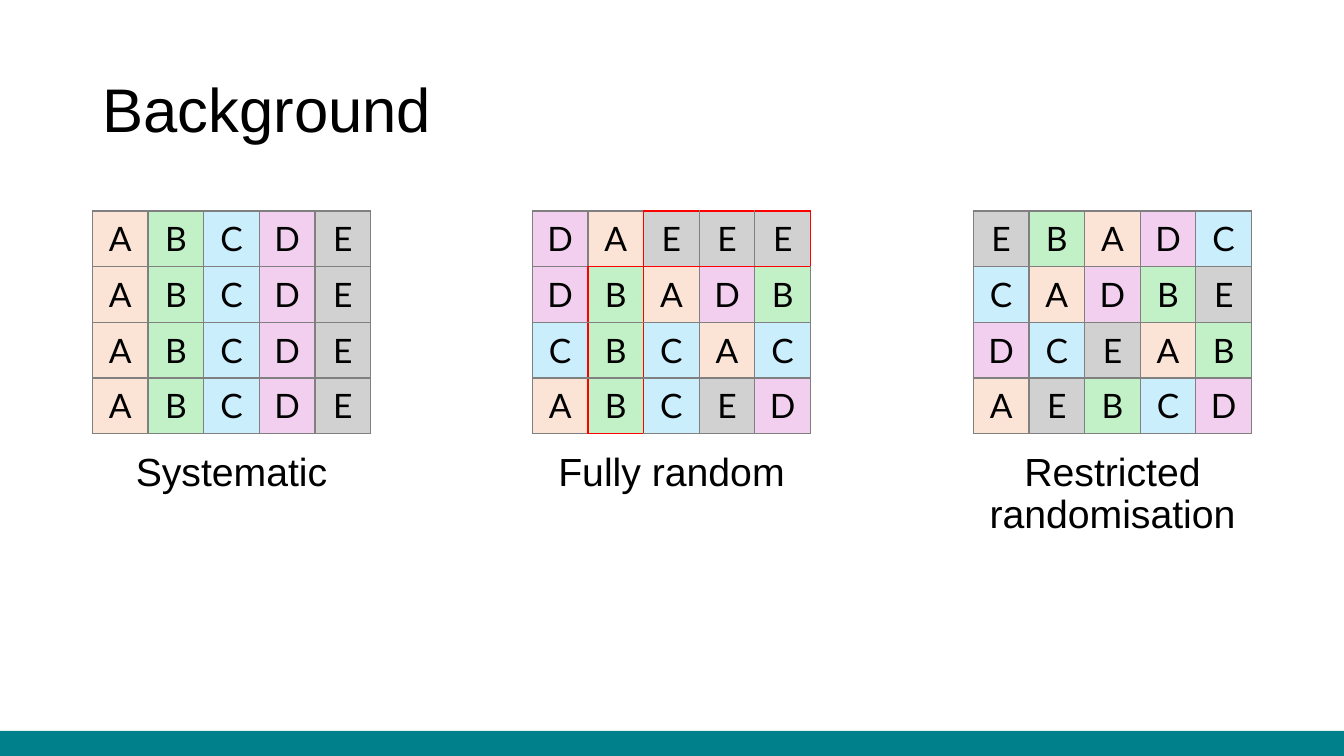
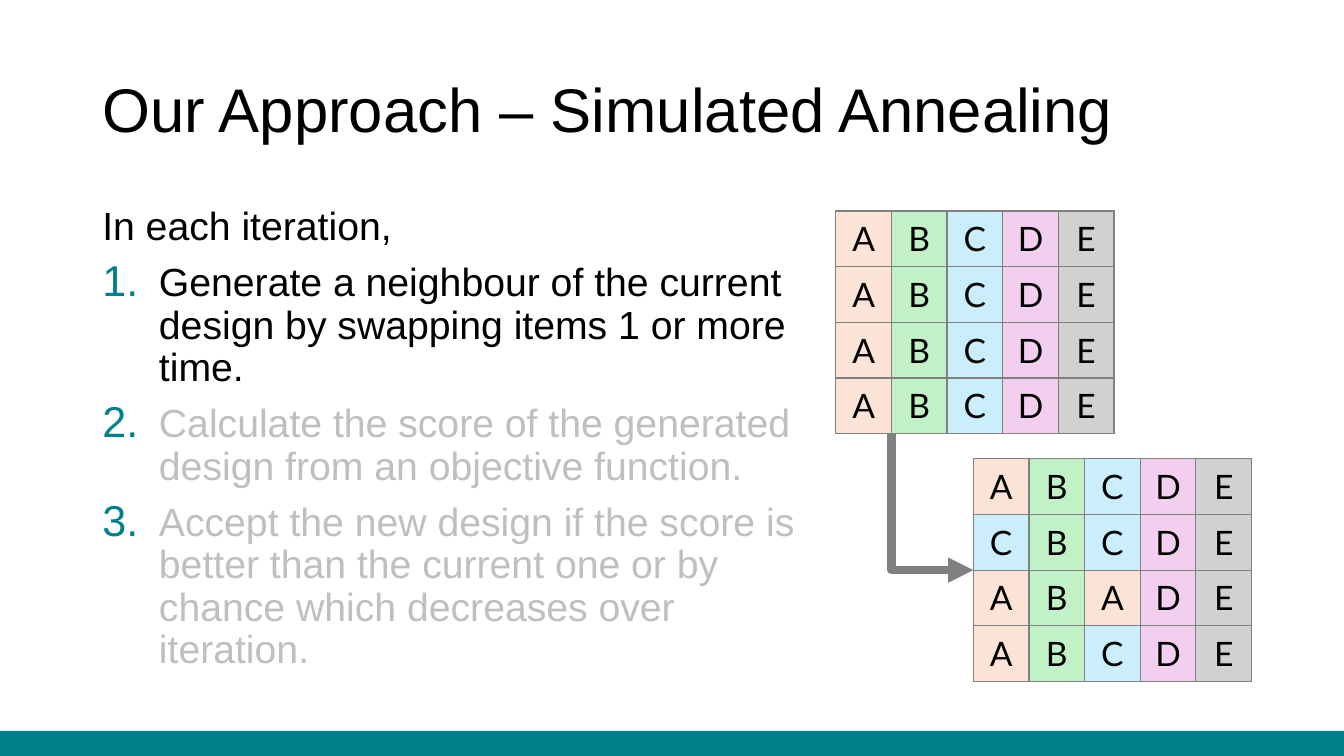
import dataclasses

import pptx
import pptx.dml.color
import pptx.enum.dml
import pptx.enum.shapes
import pptx.enum.text
import pptx.oxml
import pptx.oxml.ns
import pptx.util

PX = 9525  # EMU in one px, 96 px to the inch
WIDE, HIGH = 1280, 720
LEFT, SPAN = 88, 1104
CELL, COLS, ROWS = 53, 5, 4
GRID = CELL * COLS
RIGHT = LEFT + SPAN - GRID
TOP = 201
ALIGN = pptx.enum.text.PP_ALIGN
ANCHOR = pptx.enum.text.MSO_ANCHOR


@dataclasses.dataclass(frozen=True)
class Theme:
    teal: str = "00808B"
    ink: str = "000000"
    faded: str = "BFBFBF"
    rule: str = "808080"
    alert: str = "FF0000"
    items: tuple = (("A", "FBE3D6"), ("B", "C2F1C8"), ("C", "CAEEFB"),
                    ("D", "F2CFEE"), ("E", "D1D1D1"))
    font: str = "Arial"
    grid_font: str = "Lato"
    title: int = 44
    body: int = 28
    cell: int = 24
    thin: int = 1
    thick: int = 6


def rgb(code):
    return pptx.dml.color.RGBColor.from_string(code)


def xml(text):
    """Build an element from text whose root tag ends with {ns}."""
    return pptx.oxml.parse_xml(text.format(ns=pptx.oxml.ns.nsdecls("a")))


class Deck:
    def __init__(self, theme):
        self.theme = theme
        self.deck = pptx.Presentation()
        self.deck.slide_width = WIDE * PX
        self.deck.slide_height = HIGH * PX
        self.base = self.deck.slide_layouts[5]
        self.slide = None

    def style(self, para, size, font=None, color=None, align=ALIGN.LEFT):
        para.alignment = align
        para.font.size = pptx.util.Pt(size)
        para.font.name = font or self.theme.font
        para.font.color.rgb = rgb(color or self.theme.ink)

    def page(self, title):
        self.slide = self.deck.slides.add_slide(self.base)
        head = self.slide.shapes.title
        head.left, head.top = LEFT * PX, 38 * PX
        head.width, head.height = SPAN * PX, 139 * PX
        frame = head.text_frame
        frame.text = title
        frame.auto_size = pptx.enum.text.MSO_AUTO_SIZE.NONE
        frame.vertical_anchor = ANCHOR.MIDDLE
        para = frame.paragraphs[0]
        para.line_spacing = 0.9
        self.style(para, self.theme.title)

    def text(self, x, y, w, h, lines, align=ALIGN.LEFT):
        """Add lines of (text, colour, numbered)."""
        box = self.slide.shapes.add_textbox(x * PX, y * PX, w * PX, h * PX)
        frame = box.text_frame
        frame.word_wrap = True
        for i, (line, color, numbered) in enumerate(lines):
            para = frame.add_paragraph() if i else frame.paragraphs[0]
            para.text = line
            para.line_spacing = 0.9
            para.space_before = pptx.util.Pt(10)
            self.style(para, self.theme.body, color=color, align=align)
            if numbered:
                self.number(para)

    def number(self, para, indent=54):
        props = para._p.get_or_add_pPr()
        props.set("marL", str(indent * PX))
        props.set("indent", str(-indent * PX))
        for part in (
            f'<a:buClr {{ns}}><a:srgbClr val="{self.theme.teal}"/></a:buClr>',
            '<a:buSzPct {ns} val="110000"/>',
            f'<a:buFont {{ns}} typeface="{self.theme.font}"/>',
            '<a:buAutoNum {ns} type="arabicPeriod"/>',
        ):
            props.append(xml(part))

    def grid(self, x, y, rows, marks=()):
        """Add a design; edges between different marks are drawn in red."""
        fills = dict(self.theme.items)
        table = self.slide.shapes.add_table(
            ROWS, COLS, x * PX, y * PX, GRID * PX, CELL * ROWS * PX).table
        table.first_row = table.horz_banding = False
        for line in (*table.rows,):
            line.height = CELL * PX
        for line in (*table.columns,):
            line.width = CELL * PX
        group = {(r, c): mark for r, row in enumerate(marks)
                 for c, mark in enumerate(row) if mark != "."}
        for r, row in enumerate(rows):
            for c, item in enumerate(row):
                cell = table.cell(r, c)
                cell.text = item
                cell.vertical_anchor = ANCHOR.MIDDLE
                self.style(cell.text_frame.paragraphs[0], self.theme.cell,
                           self.theme.grid_font, align=ALIGN.CENTER)
                cell.fill.solid()
                cell.fill.fore_color.rgb = rgb(fills[item])
                near = {"L": (r, c - 1), "R": (r, c + 1),
                        "T": (r - 1, c), "B": (r + 1, c)}
                red = {side for side, spot in near.items()
                       if group.get(spot) != group.get((r, c))}
                self.edge(cell, near, red)

    def edge(self, cell, sides, red):
        props = cell._tc.get_or_add_tcPr()
        for i, side in enumerate(sides):
            color = self.theme.alert if side in red else self.theme.rule
            props.insert(i, xml(
                f'<a:ln{side} {{ns}} w="{pptx.util.Pt(self.theme.thin)}">'
                f'<a:solidFill><a:srgbClr val="{color}"/></a:solidFill>'
                f'</a:ln{side}>'))

    def elbow(self, x, y, end_x, end_y):
        """Add an arrow that runs down, then right (a turned, flipped bend)."""
        run, drop = end_x - x, end_y - y
        mid_x, mid_y = (x + end_x) / 2, (y + end_y) / 2
        ends = (mid_x + drop / 2, mid_y - run / 2,
                mid_x - drop / 2, mid_y + run / 2)
        arrow = self.slide.shapes.add_connector(
            pptx.enum.shapes.MSO_CONNECTOR.ELBOW,
            *(round(end * PX) for end in ends))
        arrow.line.color.rgb = rgb(self.theme.rule)
        arrow.line.width = pptx.util.Pt(self.theme.thick)
        props = arrow.element.spPr
        props.find(pptx.oxml.ns.qn("a:xfrm")).set("rot", str(270 * 60000))
        props.find(pptx.oxml.ns.qn("a:prstGeom")).set("prst", "bentConnector2")
        props.find(pptx.oxml.ns.qn("a:ln")).append(
            xml('<a:tailEnd {ns} type="triangle"/>'))
        props.append(xml("<a:effectLst {ns}/>"))

    def band(self):
        """Put the bottom band on the layout that all slides share."""
        bar = self.slide.shapes.add_shape(
            pptx.enum.shapes.MSO_SHAPE.RECTANGLE,
            0, 696 * PX, WIDE * PX, 24 * PX)
        bar.shadow.inherit = False
        bar.fill.solid()
        bar.fill.fore_color.rgb = rgb(self.theme.teal)
        bar.line.fill.background()
        self.base.shapes.element.append(bar.element)


def main():
    theme = Theme()
    deck = Deck(theme)
    plain = ["ABCDE"] * ROWS

    deck.page("Background")
    designs = (
        ("Systematic", 54, plain, ()),
        ("Fully random", 54, ["DAEEE", "DBADB", "CBCAC", "ABCED"],
         ["..x..".replace("x..", "xxx"), ".y...", ".y...", ".y..."]),
        ("Restricted randomisation", 108,
         ["EBADC", "CADBE", "DCEAB", "AEBCD"], ()),
    )
    step = (RIGHT - LEFT) / (len(designs) - 1)
    for i, (name, high, rows, marks) in enumerate(designs):
        x = int(LEFT + i * step)
        deck.grid(x, TOP, rows, marks)
        deck.text(x, 426, GRID, high, [(name, theme.ink, False)], ALIGN.CENTER)

    deck.page("Our Approach – Simulated Annealing")
    deck.text(LEFT, 192, 707, 457, [
        ("In each iteration,", theme.ink, False),
        ("Generate a neighbour of the current design by swapping items "
         "1 or more time.", theme.ink, True),
        ("Calculate the score of the generated design from an objective "
         "function.", theme.faded, True),
        ("Accept the new design if the score is better than the current one "
         "or by chance which decreases over iteration.", theme.faded, True),
    ])
    x, low = 796, 437
    deck.grid(x, TOP, plain)
    deck.grid(RIGHT, low, ["ABCDE", "CBCDE", "ABADE", "ABCDE"])
    deck.elbow(x + CELL, TOP + ROWS * CELL, RIGHT, low + ROWS * CELL // 2)

    deck.band()
    deck.deck.save("out.pptx")


if __name__ == "__main__":
    main()
